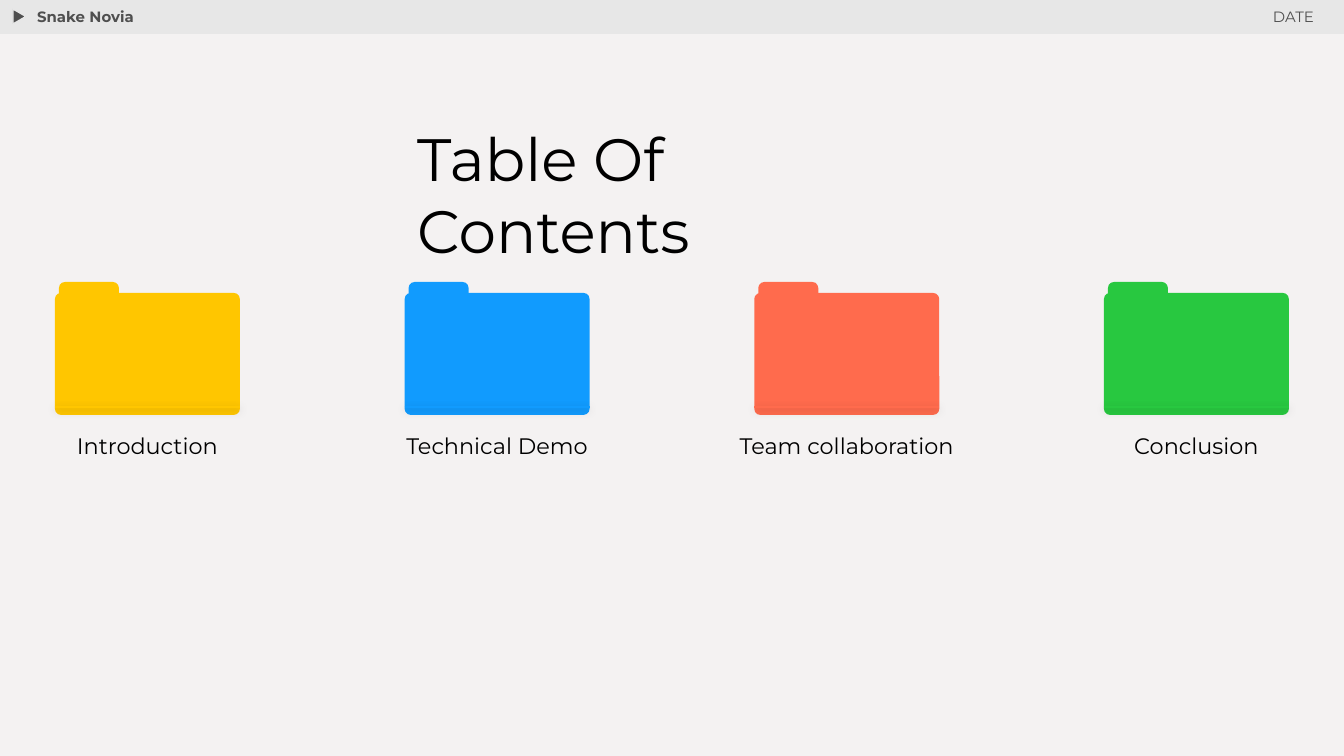
from lxml import etree
from pptx import Presentation
from pptx.dml.color import RGBColor
from pptx.enum.shapes import MSO_CONNECTOR, MSO_SHAPE
from pptx.enum.text import MSO_ANCHOR, MSO_AUTO_SIZE, PP_ALIGN
from pptx.oxml import parse_xml
from pptx.oxml.ns import nsdecls, qn
from pptx.util import Emu, Pt

RECT, ROUND = MSO_SHAPE.RECTANGLE, MSO_SHAPE.ROUNDED_RECTANGLE
TAB, ARROW = MSO_SHAPE.ROUND_2_SAME_RECTANGLE, MSO_SHAPE.ISOSCELES_TRIANGLE
LINE, TOP, NO_FIT = MSO_CONNECTOR.STRAIGHT, MSO_ANCHOR.TOP, MSO_AUTO_SIZE.NONE
LEFT, MID, RIGHT = PP_ALIGN.LEFT, PP_ALIGN.CENTER, PP_ALIGN.RIGHT

# Content
TITLE = "Table Of Contents"
HEADS = [  # text, box, alignment, bold
    ("DATE", (1103, -5, 224, 63), RIGHT, False),
    ("Snake Novia", (24, -5, 172, 63), LEFT, True),
]
FOLDERS = [  # label, colour, label width
    ("Introduction", "FFC600", 185),
    ("Technical Demo", "119BFE", 235),
    ("Team collaboration", "FF6B4D", 258),
    ("Conclusion", "28C840", 185),
]
FONT, BLACK, GREY, PALE, BACK = "Montserrat", "000000", "4F4F4F", "E7E7E7", "F4F2F2"

# Layout in px
WIDE, HIGH = 1344, 756
EDGE, SIZE = 55, 185
STEP = (WIDE - 2 * EDGE - SIZE) / (len(FOLDERS) - 1)
SHADOW = (
    f'<a:effectLst {nsdecls("a")}><a:outerShdw blurRad="57150" dist="19050" '
    'dir="5400000" algn="bl" rotWithShape="0"><a:srgbClr val="000000">'
    '<a:alpha val="30000"/></a:srgbClr></a:outerShdw></a:effectLst>'
)


def px(num):
    return Emu(round(num * 9144000 / WIDE))


def rgb(code):
    return RGBColor.from_string(code)


def place(shape, box):
    shape.left, shape.top, shape.width, shape.height = map(px, box)


def write(shape, text, size, color, align=LEFT, bold=False):
    frame = shape.text_frame
    frame.word_wrap = True
    frame.auto_size = NO_FIT
    frame.vertical_anchor = TOP
    frame.margin_left = frame.margin_right = px(13)
    frame.margin_top = frame.margin_bottom = px(13)
    para = frame.paragraphs[0]
    para.alignment = align
    para.space_before = Pt(0)
    run = para.add_run()
    run.text = text
    font = run.font
    font.name, font.size, font.bold = FONT, Pt(size), bold
    font.color.rgb = rgb(color)
    return para


def draw(shapes, kind, box, color):
    shape = shapes.add_shape(kind, *map(px, box))
    shape.shadow.inherit = False
    shape.fill.solid()
    shape.fill.fore_color.rgb = rgb(color)
    shape.line.fill.background()
    return shape


def folder(shapes, left, color):
    parts = shapes.add_group_shape().shapes
    tab = draw(parts, TAB, (left + 4, 282, 60, 12), color)
    tab.adjustments[0] = 0.5
    body = draw(parts, ROUND, (left, 293, SIZE, 122), color)
    body.adjustments[0] = 0.05
    fold = parts.add_connector(LINE, px(left), px(407), px(left + SIZE), px(407))
    fold.line.color.rgb = rgb(color)
    fold.line.width = Pt(0.75)
    fold._element.spPr.append(parse_xml(SHADOW))


deck = Presentation()
deck.slide_width, deck.slide_height = px(WIDE), px(HIGH)
slide = deck.slides.add_slide(deck.slide_layouts[3])
shapes = slide.shapes
slide.background.fill.solid()
slide.background.fill.fore_color.rgb = rgb(BACK)

# Top bar, sent behind the text
bar = draw(shapes, RECT, (-1, 0, WIDE + 1, 34), PALE)
mark = draw(shapes, ARROW, (12, 10, 15, 13), GREY)
mark.rotation = 90
mark.line.color.rgb = rgb(PALE)
mark.line.width = Pt(0.75)
for spot, part in enumerate((bar, mark), 2):
    shapes._spTree.insert(spot, part._element)

# Title and header text
place(shapes.title, (404, 109, 535, 101))
write(shapes.title, TITLE, 32, BLACK)
for slot, (text, box, align, bold) in enumerate(HEADS, 1):
    head = slide.placeholders[slot]
    place(head, box)
    props = write(head, text, 8, GREY, align, bold)._p.get_or_add_pPr()
    props.set("marL", "0")
    props.set("indent", "0")
    etree.SubElement(props, qn("a:buNone"))

# Folders with labels centred below
for col, (text, color, wide) in enumerate(FOLDERS):
    left = EDGE + col * STEP
    folder(shapes, left, color)
    box = (left + (SIZE - wide) / 2, 419, wide, 54)
    label = shapes.add_textbox(*map(px, box))
    write(label, text, 12, BLACK, MID)

deck.save("out.pptx")
